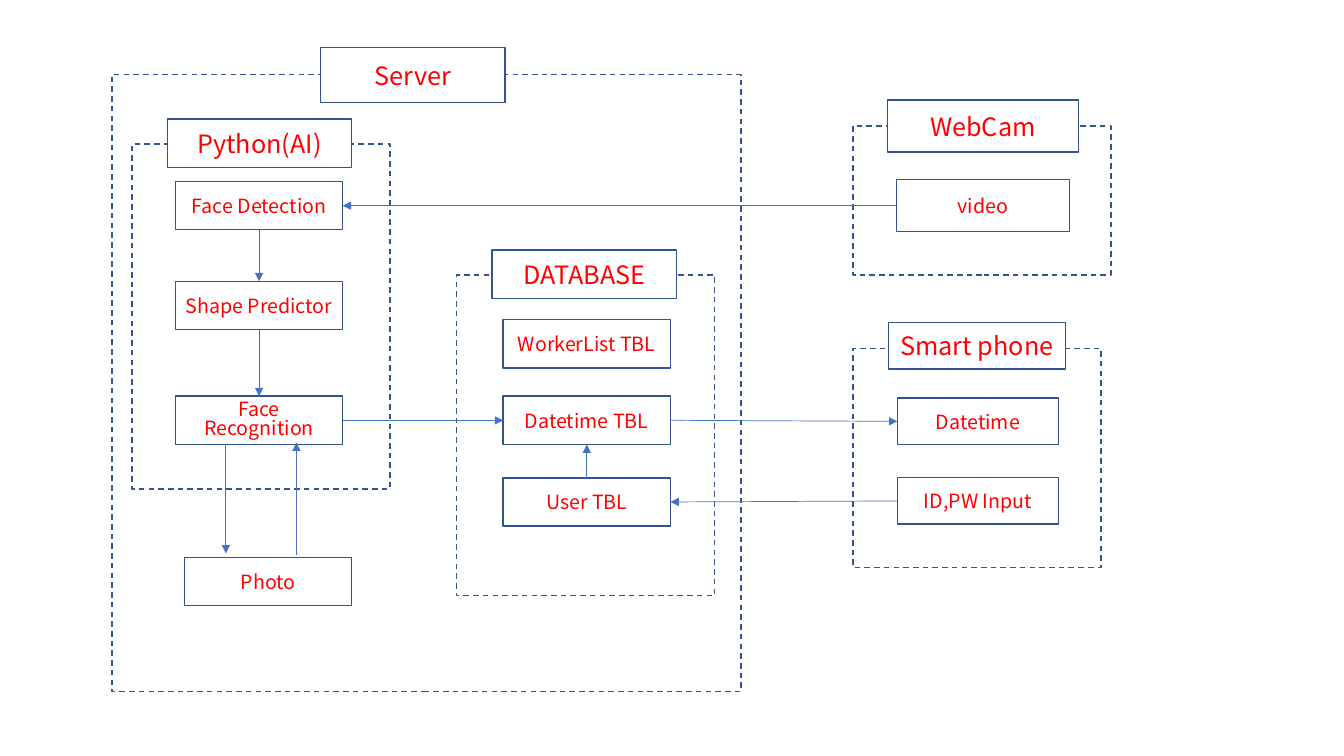
from dataclasses import dataclass
from pptx import Presentation
from pptx.dml.color import RGBColor
from pptx.enum.dml import MSO_LINE
from pptx.enum.shapes import MSO_CONNECTOR, MSO_SHAPE
from pptx.enum.text import MSO_ANCHOR, PP_ALIGN
from pptx.oxml.ns import qn
from pptx.util import Inches, Pt
from lxml.etree import SubElement


@dataclass(frozen=True)
class Theme:
    font: str = "Noto Sans CJK KR"
    text: RGBColor = RGBColor(0xFF, 0x00, 0x00)
    outline: RGBColor = RGBColor(0x32, 0x54, 0x91)
    arrow: RGBColor = RGBColor(0x44, 0x72, 0xC4)
    title_fill: RGBColor = RGBColor(0xFF, 0xFF, 0xFF)
    title_size: Pt = Pt(18)
    box_size: Pt = Pt(14)
    outline_width: Pt = Pt(1)
    arrow_width: Pt = Pt(0.5)


theme = Theme()
presentation = Presentation()
presentation.slide_width = Inches(13.33)
presentation.slide_height = Inches(7.5)
slide = presentation.slides.add_slide(presentation.slide_layouts[6])


def add_box(bounds, label="", size=theme.box_size):
    shape = slide.shapes.add_shape(MSO_SHAPE.RECTANGLE, *map(Inches, bounds))
    shape.shadow.inherit = False
    shape.fill.background()
    shape.line.color.rgb = theme.outline
    shape.line.width = theme.outline_width
    if label:
        text_frame = shape.text_frame
        text_frame.text = label
        text_frame.word_wrap = True
        text_frame.vertical_anchor = MSO_ANCHOR.MIDDLE
        paragraph = text_frame.paragraphs[0]
        paragraph.alignment = PP_ALIGN.CENTER
        font = paragraph.runs[0].font
        font.name, font.size = theme.font, size
        font.color.rgb = theme.text
    return shape


def add_arrow(kind, start_x, start_y, end_x, end_y):
    connector = slide.shapes.add_connector(
        kind, *map(Inches, (start_x, start_y, end_x, end_y)))
    connector.line.color.rgb = theme.arrow
    connector.line.width = theme.arrow_width
    SubElement(connector.line._get_or_add_ln(), qn("a:tailEnd"), type="triangle")
    SubElement(connector._element.spPr, qn("a:effectLst"))
    return connector


# Dashed groups, each with a title box over its top edge
groups = [
    ("Server", (1.11, 0.74, 6.24, 6.12), (3.18, 0.47, 1.83, 0.55)),
    ("Python(AI)", (1.31, 1.43, 2.56, 3.42), (1.66, 1.18, 1.83, 0.48)),
    ("DATABASE", (4.53, 2.73, 2.56, 3.18), (4.88, 2.48, 1.83, 0.48)),
    ("WebCam", (8.46, 1.25, 2.56, 1.48), (8.8, 0.99, 1.9, 0.52)),
    ("Smart phone", (8.46, 3.46, 2.46, 2.17), (8.81, 3.2, 1.76, 0.46)),
]
for title, frame_bounds, title_bounds in groups:
    frame = add_box(frame_bounds)
    frame.line.dash_style = MSO_LINE.DASH
    title_box = add_box(title_bounds, title, theme.title_size)
    title_box.fill.solid()
    title_box.fill.fore_color.rgb = theme.title_fill

# Component boxes, in columns of equal left edge and size
columns = [
    (1.74, 1.66, 0.48, {"Face Detection": 1.8, "Shape Predictor": 2.79,
                        "Face Recognition": 3.93}),
    (1.83, 1.66, 0.48, {"Photo": 5.53}),
    (4.99, 1.66, 0.48, {"WorkerList TBL": 3.17, "Datetime TBL": 3.93,
                        "User TBL": 4.74}),
    (8.89, 1.72, 0.52, {"video": 1.78}),
    (8.9, 1.6, 0.46, {"Datetime": 3.95, "ID,PW Input": 4.74}),
]
boxes = {}
for left, width, height, rows in columns:
    for label, top in rows.items():
        boxes[label] = add_box((left, top, width, height), label)
boxes["Face Recognition"].text_frame.paragraphs[0].line_spacing = 0.8

# Arrows glued to the sides of the boxes
TOP, LEFT, BOTTOM, RIGHT = range(4)
STRAIGHT, ELBOW = MSO_CONNECTOR.STRAIGHT, MSO_CONNECTOR.ELBOW
links = [
    (ELBOW, "video", LEFT, "Face Detection", RIGHT),
    (STRAIGHT, "Face Detection", BOTTOM, "Shape Predictor", TOP),
    (STRAIGHT, "Shape Predictor", BOTTOM, "Face Recognition", TOP),
    (ELBOW, "Face Recognition", RIGHT, "Datetime TBL", LEFT),
    (STRAIGHT, "Datetime TBL", RIGHT, "Datetime", LEFT),
    (STRAIGHT, "ID,PW Input", LEFT, "User TBL", RIGHT),
    (STRAIGHT, "User TBL", TOP, "Datetime TBL", BOTTOM),
]
for kind, source, source_side, target, target_side in links:
    connector = add_arrow(kind, 0, 0, 0, 0)
    connector.begin_connect(boxes[source], source_side)
    connector.end_connect(boxes[target], target_side)

# Free arrows between Face Recognition and Photo
add_arrow(STRAIGHT, 2.24, 4.4, 2.24, 5.49)
add_arrow(STRAIGHT, 2.94, 5.51, 2.94, 4.39)

presentation.save("out.pptx")
